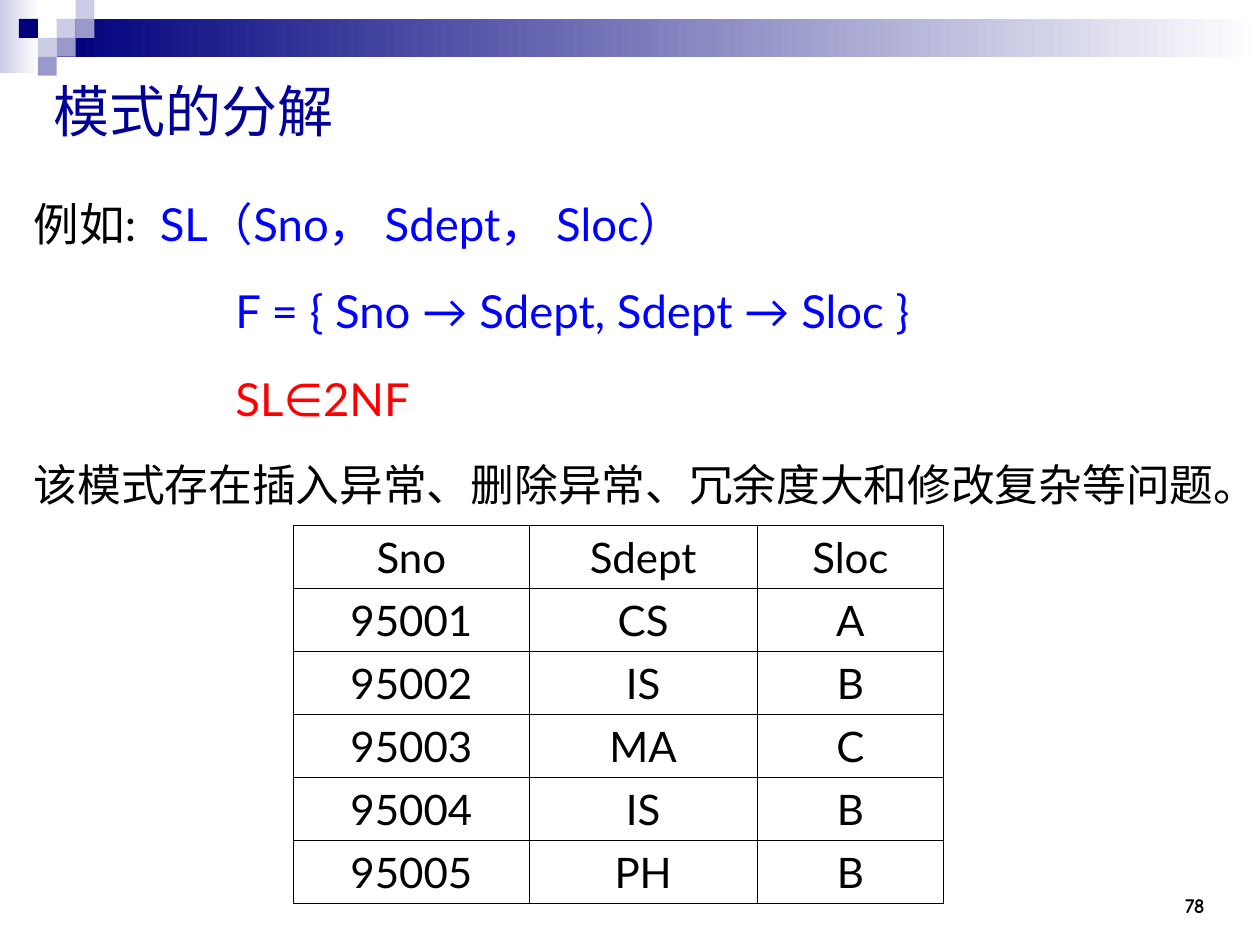
from lxml import etree
from pptx import Presentation
from pptx.dml.color import RGBColor
from pptx.enum.shapes import MSO_SHAPE
from pptx.enum.text import MSO_ANCHOR, PP_ALIGN
from pptx.oxml.ns import qn
from pptx.util import Inches, Pt

RECT = MSO_SHAPE.RECTANGLE
TOP, MIDDLE, BOTTOM = MSO_ANCHOR.TOP, MSO_ANCHOR.MIDDLE, MSO_ANCHOR.BOTTOM
LEFT, CENTER, RIGHT = PP_ALIGN.LEFT, PP_ALIGN.CENTER, PP_ALIGN.RIGHT

BLACK, BLUE, RED = "000000", "0000FF", "FF0000"
NAVY, LILAC, PALE, WHITE = "00007D", "9999CC", "CCCCE6", "FFFFFF"

GRADIENT_BARS = [((0, 0, 0.31, 0.58), PALE), ((0.45, 0.15, 9.55, 0.3), NAVY)]
TILE = 0.15
TILES = [(3, 1, PALE), (4, 0, PALE), (4, 1, LILAC), (2, 2, PALE),
         (1, 1, NAVY), (3, 2, LILAC), (2, 3, LILAC)]  # column, row, colour

TITLE = "模式的分解"
PAGE = "78"
FORMULA_INDENT = 1.6
# runs, size, left margin, first-line indent, space before, tab stop
BODY = [
    ([("例如:\t", BLACK), ("SL（Sno， Sdept， Sloc）", BLUE)], 26, 0, 0, 0, 1.09),
    ([("F = { Sno → Sdept, Sdept → Sloc }", BLUE)], 26, FORMULA_INDENT, 0, 6.5, None),
    ([("SL∈2NF", RED)], 26, FORMULA_INDENT, 0, 6.5, None),
    ([("该模式存在插入异常、删除异常、冗余度大和修改复杂等问题。", BLACK)],
     25, 0.5, -0.5, 6.2, None),
]
ROWS = [("Sno", "Sdept", "Sloc"), ("95001", "CS", "A"), ("95002", "IS", "B"),
        ("95003", "MA", "C"), ("95004", "IS", "B"), ("95005", "PH", "B")]
COL_WIDTHS = [1.87, 1.81, 1.48]
ROW_HEIGHT = 0.5


def rgb(color):
    return RGBColor.from_string(color)


def add_run(p, text, size=24, color=BLACK, font="Lato", bold=False):
    r = p.add_run()
    r.text = text
    r.font.size, r.font.name, r.font.bold = Pt(size), font, bold
    r.font.color.rgb = rgb(color)


def add_rect(s, box, color, fade=False):
    """Borderless rectangle, solid or fading to white on the right."""
    sp = s.shapes.add_shape(RECT, *map(Inches, box))
    sp.shadow.inherit = False
    sp.line.fill.background()
    if fade:
        sp.fill.gradient()
        sp.fill.gradient_angle = 0
        for stop, c in zip(sp.fill.gradient_stops, (color, WHITE)):
            stop.color.rgb = rgb(c)
    else:
        sp.fill.solid()
        sp.fill.fore_color.rgb = rgb(color)


def add_box(s, box, anchor=TOP):
    tf = s.shapes.add_textbox(*map(Inches, box)).text_frame
    tf.word_wrap = True
    tf.vertical_anchor = anchor
    return tf


def add_label(s, box, text, anchor=MIDDLE, align=LEFT, **fmt):
    p = add_box(s, box, anchor).paragraphs[0]
    p.alignment = align
    add_run(p, text, **fmt)


def indent(p, margin, first, tab):
    pPr = p._p.get_or_add_pPr()
    pPr.set("marL", str(Inches(margin)))
    pPr.set("indent", str(Inches(first)))
    if tab:
        tabs = etree.SubElement(pPr, qn("a:tabLst"))
        etree.SubElement(tabs, qn("a:tab"), pos=str(Inches(tab)), algn="l")


def add_body(s, box):
    tf = add_box(s, box)
    for i, (runs, size, margin, first, before, tab) in enumerate(BODY):
        p = tf.add_paragraph() if i else tf.paragraphs[0]
        indent(p, margin, first, tab)
        p.line_spacing = 1.4
        p.space_before = Pt(before)
        for text, color in runs:
            add_run(p, text, size=size, color=color)


def set_borders(cell, color, width):
    tcPr = cell._tc.get_or_add_tcPr()
    for i, side in enumerate(("a:lnL", "a:lnR", "a:lnT", "a:lnB")):
        ln = etree.Element(qn(side), w=str(Pt(width)))
        fill = etree.SubElement(ln, qn("a:solidFill"))
        etree.SubElement(fill, qn("a:srgbClr"), val=color)
        tcPr.insert(i, ln)


def add_grid(s, left, top):
    size = (sum(COL_WIDTHS), ROW_HEIGHT * len(ROWS))
    table = s.shapes.add_table(len(ROWS), len(COL_WIDTHS),
                               *map(Inches, (left, top, *size))).table
    table.first_row = table.horz_banding = False
    for column, width in zip(table.columns, COL_WIDTHS):
        column.width = Inches(width)
    for row, values in zip(table.rows, ROWS):
        row.height = Inches(ROW_HEIGHT)
        for cell, value in zip(row.cells, values):
            cell.fill.background()
            set_borders(cell, BLACK, 0.45)
            p = cell.text_frame.paragraphs[0]
            p.alignment = CENTER
            add_run(p, value)


def main():
    prs = Presentation()
    prs.slide_width, prs.slide_height = Inches(10), Inches(7.5)
    s = prs.slides.add_slide(prs.slide_layouts[6])
    for box, color in GRADIENT_BARS:
        add_rect(s, box, color, fade=True)
    for col, row, color in TILES:
        add_rect(s, (col * TILE, row * TILE, TILE, TILE), color)
    add_label(s, (8.83, 6.83, 0.83, 0.5), PAGE, BOTTOM, RIGHT,
              size=12, font="Comic Neue", bold=True)
    add_label(s, (0.33, 0.5, 9, 0.75), TITLE, size=32, color="000099")
    add_body(s, (0.17, 1.33, 9.83, 5.83))
    add_grid(s, 2.33, 4.17)
    prs.save("out.pptx")


if __name__ == "__main__":
    main()
